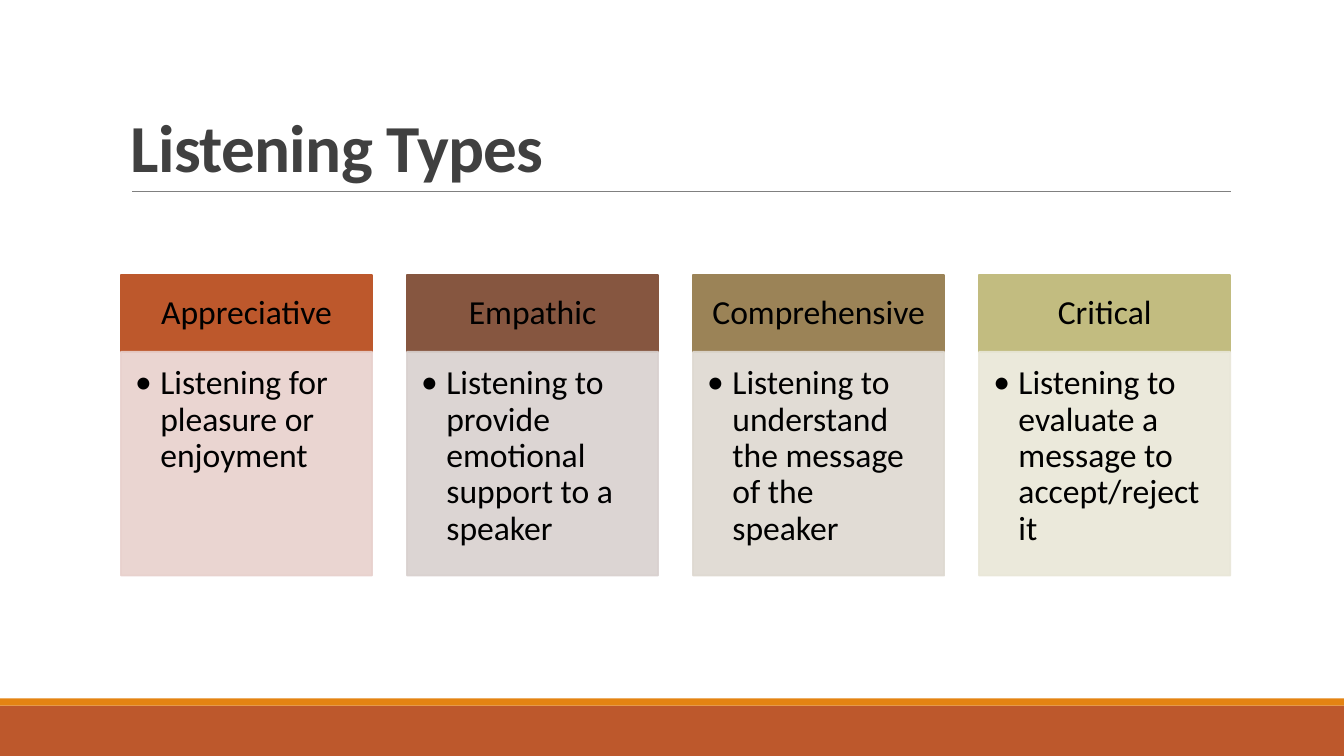
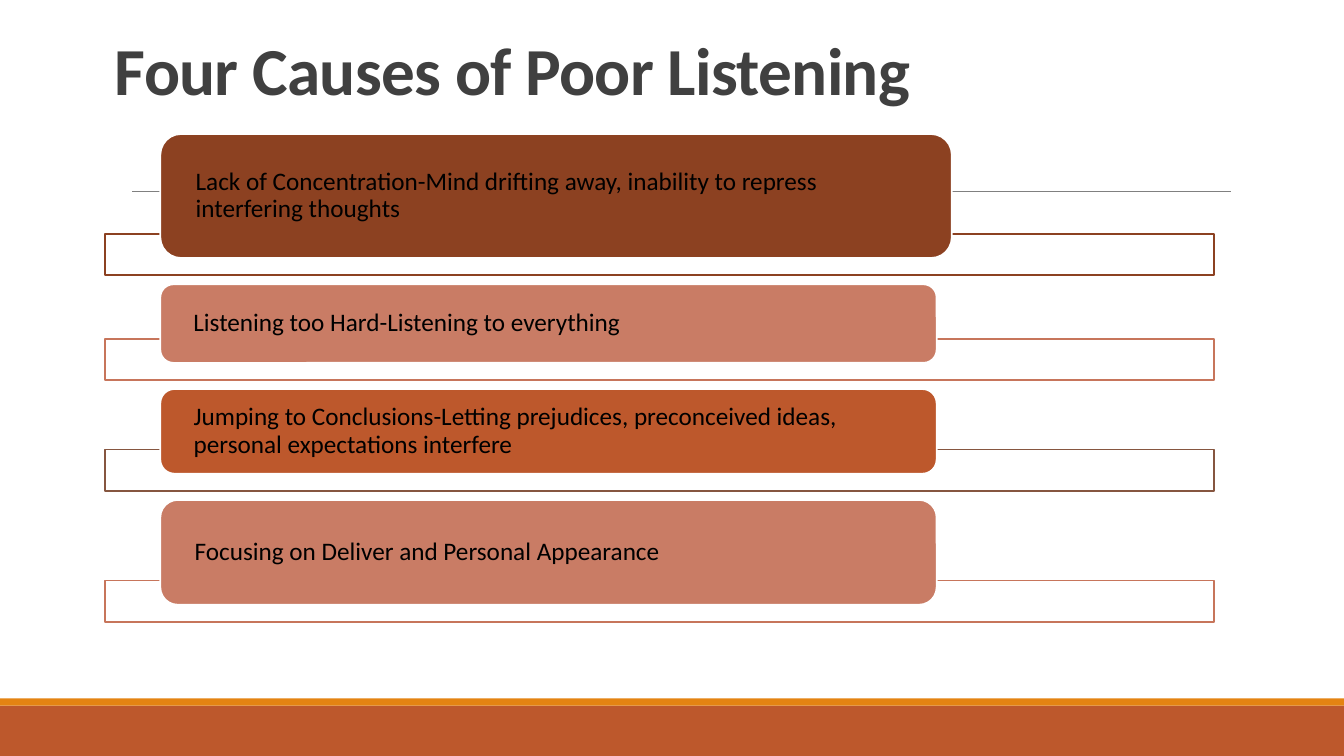
"""Build two slides on listening types and the causes of poor listening."""
from dataclasses import dataclass

import lxml.etree
import pptx
import pptx.dml.color
import pptx.enum.shapes
import pptx.enum.text
import pptx.oxml.ns
import pptx.shapes.autoshape
import pptx.slide
import pptx.util

Inches = pptx.util.Inches
RGBColor = pptx.dml.color.RGBColor
Shape = pptx.shapes.autoshape.Shape
Slide = pptx.slide.Slide
Anchor = pptx.enum.text.MSO_ANCHOR
Align = pptx.enum.text.PP_ALIGN
Preset = pptx.enum.shapes.MSO_SHAPE
qn = pptx.oxml.ns.qn

FONT = "Calibri"
WHITE = RGBColor(0xFF, 0xFF, 0xFF)
BLACK = RGBColor(0x00, 0x00, 0x00)
CHARCOAL = RGBColor(0x40, 0x40, 0x40)
GRAY = RGBColor(0x80, 0x80, 0x80)
ORANGE = RGBColor(0xE4, 0x83, 0x12)
RUST = RGBColor(0xBD, 0x58, 0x2C)
BROWN = RGBColor(0x86, 0x56, 0x40)
KHAKI = RGBColor(0x9B, 0x83, 0x57)
OLIVE = RGBColor(0xC2, 0xBC, 0x80)
PALE_RUST = RGBColor(0xE8, 0xD1, 0xCD)
PALE_BROWN = RGBColor(0xD9, 0xD1, 0xCF)
PALE_KHAKI = RGBColor(0xDE, 0xD9, 0xD1)
PALE_OLIVE = RGBColor(0xE9, 0xE7, 0xD8)
CHESTNUT = RGBColor(0x8C, 0x41, 0x21)
SALMON = RGBColor(0xC9, 0x7C, 0x65)
SALMON_LINE = RGBColor(0xC7, 0x75, 0x5B)

SLIDE_WIDTH = 13.33
OUTLINE = 1.25
COLUMN_LEFT, COLUMN_WIDTH, COLUMN_PITCH = 1.2, 2.49, 2.837
HEADER_TOP, HEADER_HEIGHT, BODY_HEIGHT = 2.73, 0.76, 2.22
STRIP_LEFT, STRIP_WIDTH, STRIP_HEIGHT = 1.04, 11, 0.41
CAUSE_LEFT, FIRST_CAUSE_TOP = 1.59, 1.33
CAUSE_OVERLAP, CAUSE_STEP = 0.24, 0.5


@dataclass(frozen=True)
class Box:
    """Place and size in inches."""
    left: float
    top: float
    width: float
    height: float


@dataclass(frozen=True)
class ListeningType:
    """One column of the listening types."""
    name: str
    meaning: str
    color: RGBColor
    pale: RGBColor


@dataclass(frozen=True)
class Cause:
    """One cause of poor listening."""
    text: str
    width: float
    height: float
    fill: RGBColor
    strip_line: RGBColor


LISTENING_TYPES = [
    ListeningType("Appreciative", "Listening for pleasure or enjoyment", RUST, PALE_RUST),
    ListeningType("Empathic", "Listening to provide emotional support to a speaker",
                  BROWN, PALE_BROWN),
    ListeningType("Comprehensive", "Listening to understand the message of the speaker",
                  KHAKI, PALE_KHAKI),
    ListeningType("Critical", "Listening to evaluate a message to accept/reject it",
                  OLIVE, PALE_OLIVE),
]
CAUSES = [
    Cause("Lack of Concentration-Mind drifting away, inability to repress "
          "interfering thoughts", 7.85, 1.23, CHESTNUT, CHESTNUT),
    Cause("Listening too Hard-Listening to everything", 7.7, 0.78, SALMON, SALMON_LINE),
    Cause("Jumping to Conclusions-Letting prejudices, preconceived ideas, "
          "personal expectations interfere", 7.7, 0.84, RUST, BROWN),
    Cause("Focusing on Deliver and Personal Appearance", 7.7, 1.04, SALMON, SALMON_LINE),
]


def add_block(slide: Slide, box: Box, fill: RGBColor, line: RGBColor | None = None,
              preset: Preset = Preset.RECTANGLE) -> Shape:
    """Draw a filled shape, outlined if a line colour is given."""
    shape = slide.shapes.add_shape(preset, Inches(box.left), Inches(box.top),
                                   Inches(box.width), Inches(box.height))
    shape.shadow.inherit = False
    shape.fill.solid()
    shape.fill.fore_color.rgb = fill
    if line is None:
        shape.line.fill.background()
    else:
        shape.line.color.rgb = line
        shape.line.width = pptx.util.Pt(OUTLINE)
    return shape


def make_translucent(shape: Shape, percent: int) -> None:
    """Give the fill and the line of a shape an opacity."""
    for color in shape.element.spPr.iter(qn("a:srgbClr")):
        lxml.etree.SubElement(color, qn("a:alpha"), val=str(percent * 1000))


def write_text(shape: Shape, text: str, size: float, margins: tuple[float, float, float, float],
               anchor: Anchor = Anchor.MIDDLE, align: Align = Align.LEFT,
               color: RGBColor = BLACK, line_spacing: float = 0.9, bullet: bool = False) -> None:
    """Write one paragraph; margins run left, top, right, bottom."""
    frame = shape.text_frame
    frame.word_wrap = True
    frame.vertical_anchor = anchor
    (frame.margin_left, frame.margin_top,
     frame.margin_right, frame.margin_bottom) = map(Inches, margins)
    frame.text = text
    paragraph = frame.paragraphs[0]
    paragraph.alignment = align
    paragraph.line_spacing = line_spacing
    if bullet:
        properties = paragraph._p.get_or_add_pPr()
        properties.set("marL", str(Inches(0.25)))
        properties.set("indent", str(Inches(-0.25)))
        lxml.etree.SubElement(properties, qn("a:buFont"), typeface=FONT)
        lxml.etree.SubElement(properties, qn("a:buChar"), char="•")
    font = paragraph.runs[0].font
    font.name = FONT
    font.size = pptx.util.Pt(size)
    font.color.rgb = color


def add_frame(slide: Slide, title: str, box: Box) -> None:
    """Draw the bands, the rule and the title that the slides share."""
    slide.background.fill.solid()
    slide.background.fill.fore_color.rgb = WHITE
    add_block(slide, Box(0, 7, SLIDE_WIDTH, 0.5), RUST)
    add_block(slide, Box(0, 6.93, SLIDE_WIDTH, 0.07), ORANGE)
    rule = slide.shapes.add_connector(pptx.enum.shapes.MSO_CONNECTOR.STRAIGHT, Inches(1.31),
                                      Inches(1.9), Inches(12.21), Inches(1.9))
    rule.line.color.rgb = GRAY
    rule.line.width = pptx.util.Pt(0.5)
    lxml.etree.SubElement(rule.element.spPr, qn("a:effectLst"))
    heading = slide.shapes.add_textbox(Inches(box.left), Inches(box.top),
                                       Inches(box.width), Inches(box.height))
    write_text(heading, title, 48, (0.1, 0.05, 0.1, 0.05), Anchor.BOTTOM,
               color=CHARCOAL, line_spacing=0.85)
    run = heading.text_frame.paragraphs[0].runs[0]
    run.font.bold = True
    run._r.get_or_add_rPr().set("spc", "-50")


def add_listening_types(slide: Slide) -> None:
    """Draw one column for each listening type."""
    for index, kind in enumerate(LISTENING_TYPES):
        left = COLUMN_LEFT + index * COLUMN_PITCH
        header = add_block(slide, Box(left, HEADER_TOP, COLUMN_WIDTH, HEADER_HEIGHT),
                           kind.color, kind.color)
        write_text(header, kind.name, 24, (0.19, 0.11, 0.19, 0.11), align=Align.CENTER)
        body = add_block(slide, Box(left, HEADER_TOP + HEADER_HEIGHT, COLUMN_WIDTH, BODY_HEIGHT),
                         kind.pale, kind.pale)
        make_translucent(body, 90)
        write_text(body, kind.meaning, 24, (0.14, 0.14, 0.19, 0.21), Anchor.TOP, bullet=True)


def add_causes(slide: Slide) -> None:
    """Stack the causes, each over its outlined strip."""
    top = FIRST_CAUSE_TOP
    for cause in CAUSES:
        strip_top = top + cause.height - CAUSE_OVERLAP
        add_block(slide, Box(STRIP_LEFT, strip_top, STRIP_WIDTH, STRIP_HEIGHT),
                  WHITE, cause.strip_line)
        block = add_block(slide, Box(CAUSE_LEFT, top, cause.width, cause.height),
                          cause.fill, WHITE, Preset.ROUNDED_RECTANGLE)
        write_text(block, cause.text, 18, (0.29, 0, 0.29, 0))
        top = strip_top + CAUSE_STEP


def main() -> None:
    """Build and save the presentation."""
    presentation = pptx.Presentation()
    presentation.slide_width = Inches(SLIDE_WIDTH)
    presentation.slide_height = Inches(7.5)
    blank = presentation.slide_layouts[6]

    types_slide = presentation.slides.add_slide(blank)
    add_frame(types_slide, "Listening Types", Box(1.2, 0.31, 11, 1.59))
    add_listening_types(types_slide)

    causes_slide = presentation.slides.add_slide(blank)
    add_frame(causes_slide, "Four Causes of Poor Listening", Box(1.04, 0.19, 11, 0.94))
    add_causes(causes_slide)

    presentation.save("out.pptx")


if __name__ == "__main__":
    main()
